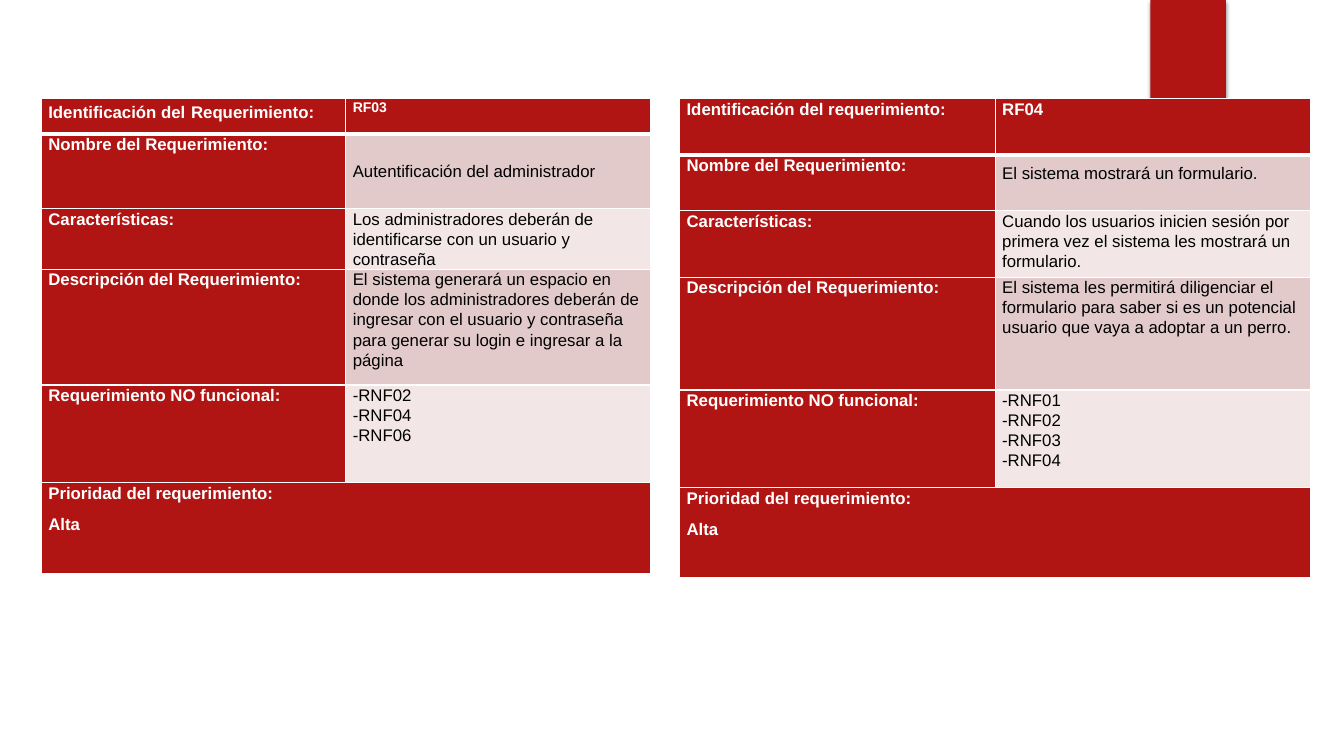
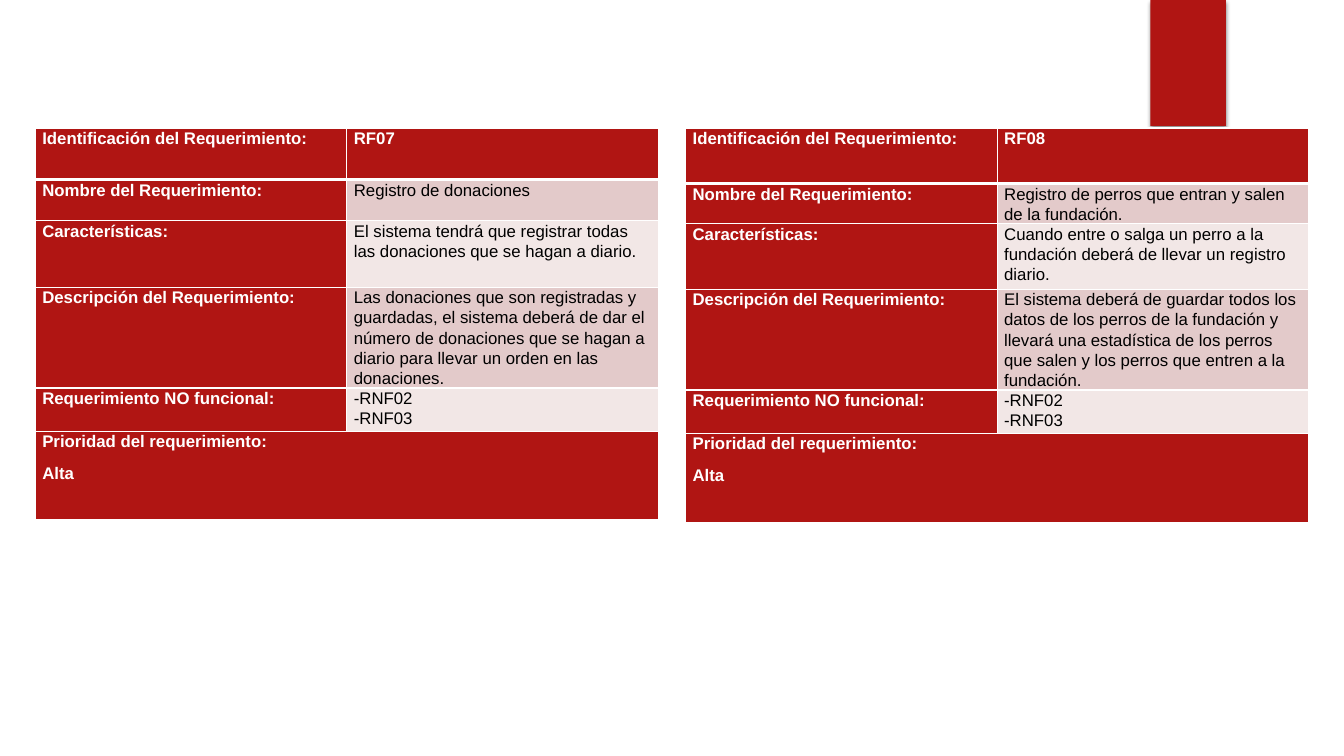
from lxml import etree
from pptx import Presentation
from pptx.dml.color import RGBColor
from pptx.enum.shapes import MSO_SHAPE
from pptx.enum.text import MSO_ANCHOR
from pptx.oxml import parse_xml
from pptx.oxml.ns import nsdecls, qn
from pptx.util import Inches, Pt

RECT = MSO_SHAPE.RECTANGLE
TOP, MIDDLE = MSO_ANCHOR.TOP, MSO_ANCHOR.MIDDLE
COLORS = {"red": "B01513", "rose": "E3CACA", "pale": "F2E7E6",
          "white": "FFFFFF", "black": "000000"}
FONT = "Arial"
LABELS = ["Nombre del Requerimiento:", "Características:",
          "Descripción del Requerimiento:", "Requerimiento NO funcional:"]
ID_LABEL = "Identificación del Requerimiento:"
PRIORITY = ["Prioridad del requerimiento:", "Alta"]

SLIDES = [
    [
        {"left": 6.74, "top": 0.98, "col": 3.13,
         "rows": [0.56, 0.55, 0.66, 1.12, 0.97, 0.89],
         "id_label": [("Identificación del requerimiento:", 12)], "id": ("RF04", 12),
         "name_anchor": MIDDLE, "name_bottom": 0.19,
         "values": ["El sistema mostrará un formulario.",
                    "Cuando los usuarios inicien sesión por primera vez el sistema "
                    "les mostrará un formulario.",
                    "El sistema les permitirá diligenciar el formulario para saber si "
                    "es un potencial usuario que vaya a adoptar a un perro.",
                    "-RNF01\n-RNF02\n-RNF03\n-RNF04"]},
        {"left": 0.41, "top": 0.98, "col": 3.02,
         "rows": [0.35, 0.74, 0.6, 1.15, 0.97, 0.9],
         "id_label": [("Identificación del", 12), (" ", 14), ("Requerimiento:", 12)],
         "id": ("RF03", 10), "name_anchor": MIDDLE,
         "values": ["Autentificación del administrador",
                    "Los administradores deberán de identificarse con un usuario y "
                    "contraseña",
                    "El sistema generará un espacio en donde los administradores "
                    "deberán de ingresar con el usuario y contraseña para generar su "
                    "login e ingresar a la página",
                    "-RNF02\n-RNF04\n-RNF06"]},
    ],
    [
        {"left": 0.35, "top": 1.27, "col": 3.09,
         "rows": [0.51, 0.41, 0.66, 1.0, 0.43, 0.88],
         "id_label": [(ID_LABEL, 12)], "id": ("RF07", 12),
         "values": ["Registro de donaciones",
                    "El sistema tendrá que registrar todas las donaciones que se hagan "
                    "a diario.",
                    "Las donaciones que son registradas y guardadas, el sistema deberá "
                    "de dar el número de donaciones que se hagan a diario para llevar "
                    "un orden en las donaciones.",
                    "-RNF02\n-RNF03"]},
        {"left": 6.8, "top": 1.27, "col": 3.09,
         "rows": [0.55, 0.39, 0.65, 1.0, 0.43, 0.88],
         "id_label": [(ID_LABEL, 12)], "id": ("RF08", 12),
         "values": ["Registro de perros que entran y salen de la fundación.",
                    "Cuando entre o salga un perro a la fundación deberá de llevar un "
                    "registro diario.",
                    "El sistema deberá de guardar todos los datos de los perros de la "
                    "fundación y llevará una estadística de los perros que salen y los "
                    "perros que entren a la fundación.",
                    "-RNF02\n-RNF03"]},
    ],
]


def rgb(name):
    """Return the named palette colour."""
    return RGBColor.from_string(COLORS[name])


def clear_placeholders(layout):
    """Remove the unused placeholders of a layout."""
    for sp in list(layout.placeholders):
        layout.shapes.element.remove(sp.element)


def add_band(slide):
    """Put the red band with its soft shadow on the layout of the slide."""
    sp = slide.shapes.add_shape(RECT, Inches(11.41), 0, Inches(0.75), Inches(1.25))
    sp.fill.solid()
    sp.fill.fore_color.rgb = rgb("red")
    sp.line.fill.background()
    sp.element.spPr.append(parse_xml(
        f'<a:effectLst {nsdecls("a")}><a:outerShdw blurRad="{Pt(3)}" dist="{Pt(2)}" '
        f'dir="5400000" rotWithShape="0"><a:srgbClr val="{COLORS["black"]}">'
        '<a:alpha val="45000"/></a:srgbClr></a:outerShdw></a:effectLst>'))
    slide.slide_layout.shapes.element.append(sp.element)


def add_borders(cell, top=1, bottom=1):
    """Draw white borders round a cell, with widths in points."""
    tc_pr = cell._tc.get_or_add_tcPr()
    for side, width in (("L", 1), ("R", 1), ("T", top), ("B", bottom)):
        ln = etree.SubElement(tc_pr, qn(f"a:ln{side}"), w=str(Pt(width)))
        fill = etree.SubElement(ln, qn("a:solidFill"))
        etree.SubElement(fill, qn("a:srgbClr"), val=COLORS["white"])


def style_cell(cell, row, fill):
    """Give a cell its borders, fill and margins."""
    add_borders(cell, top=3 if row == 1 else 1, bottom=3 if row == 0 else 1)
    cell.fill.solid()
    cell.fill.fore_color.rgb = rgb(fill)
    cell.margin_left = cell.margin_right = Inches(0.07)
    cell.margin_top = cell.margin_bottom = 0


def add_run(p, text, size, color, bold):
    """Add one formatted run to a paragraph."""
    r = p.add_run()
    r.text = text
    r.font.name = FONT
    r.font.size = Pt(size)
    r.font.bold = bold
    r.font.color.rgb = rgb(color)


def write_cell(cell, paragraphs, color="white", bold=True):
    """Write paragraphs of (text, size) runs, breaking lines at newlines."""
    tf = cell.text_frame
    for i, runs in enumerate(paragraphs):
        p = tf.add_paragraph() if i else tf.paragraphs[0]
        p.line_spacing = 1.07
        p.space_before = Pt(8 if i else 0)
        for text, size in runs:
            for j, line in enumerate(text.split("\n")):
                if j:
                    p.add_line_break()
                add_run(p, line, size, color, bold)


def add_requirement(slide, req):
    """Add the table that describes one requirement."""
    heights = req["rows"]
    frame = slide.shapes.add_table(len(heights), 2, Inches(req["left"]), Inches(req["top"]),
                                   Inches(2 * req["col"]), Inches(sum(heights)))
    table = frame.table
    last = len(heights) - 1
    for col in table.columns:
        col.width = Inches(req["col"])
    for i, height in enumerate(heights):
        table.rows[i].height = Inches(height)
        value_fill = "red" if i in (0, last) else "rose" if i % 2 else "pale"
        style_cell(table.cell(i, 0), i, "red")
        style_cell(table.cell(i, 1), i, value_fill)

    write_cell(table.cell(0, 0), [req["id_label"]])
    write_cell(table.cell(0, 1), [[req["id"]]])
    for i, (label, value) in enumerate(zip(LABELS, req["values"]), start=1):
        write_cell(table.cell(i, 0), [[(label, 12)]])
        write_cell(table.cell(i, 1), [[(value, 12)]], "black", False)
    name = table.cell(1, 1)
    name.vertical_anchor = req.get("name_anchor", TOP)
    name.margin_bottom = Inches(req.get("name_bottom", 0))
    table.cell(last, 0).merge(table.cell(last, 1))
    write_cell(table.cell(last, 0), [[(text, 12)] for text in PRIORITY])


def main():
    """Build the requirement slides and save them."""
    prs = Presentation()
    prs.slide_width, prs.slide_height = Inches(13.33), Inches(7.5)
    layout = prs.slide_layouts[6]
    clear_placeholders(layout)
    for i, requirements in enumerate(SLIDES):
        slide = prs.slides.add_slide(layout)
        if i == 0:
            add_band(slide)
        for req in requirements:
            add_requirement(slide, req)
    prs.save("out.pptx")


if __name__ == "__main__":
    main()
